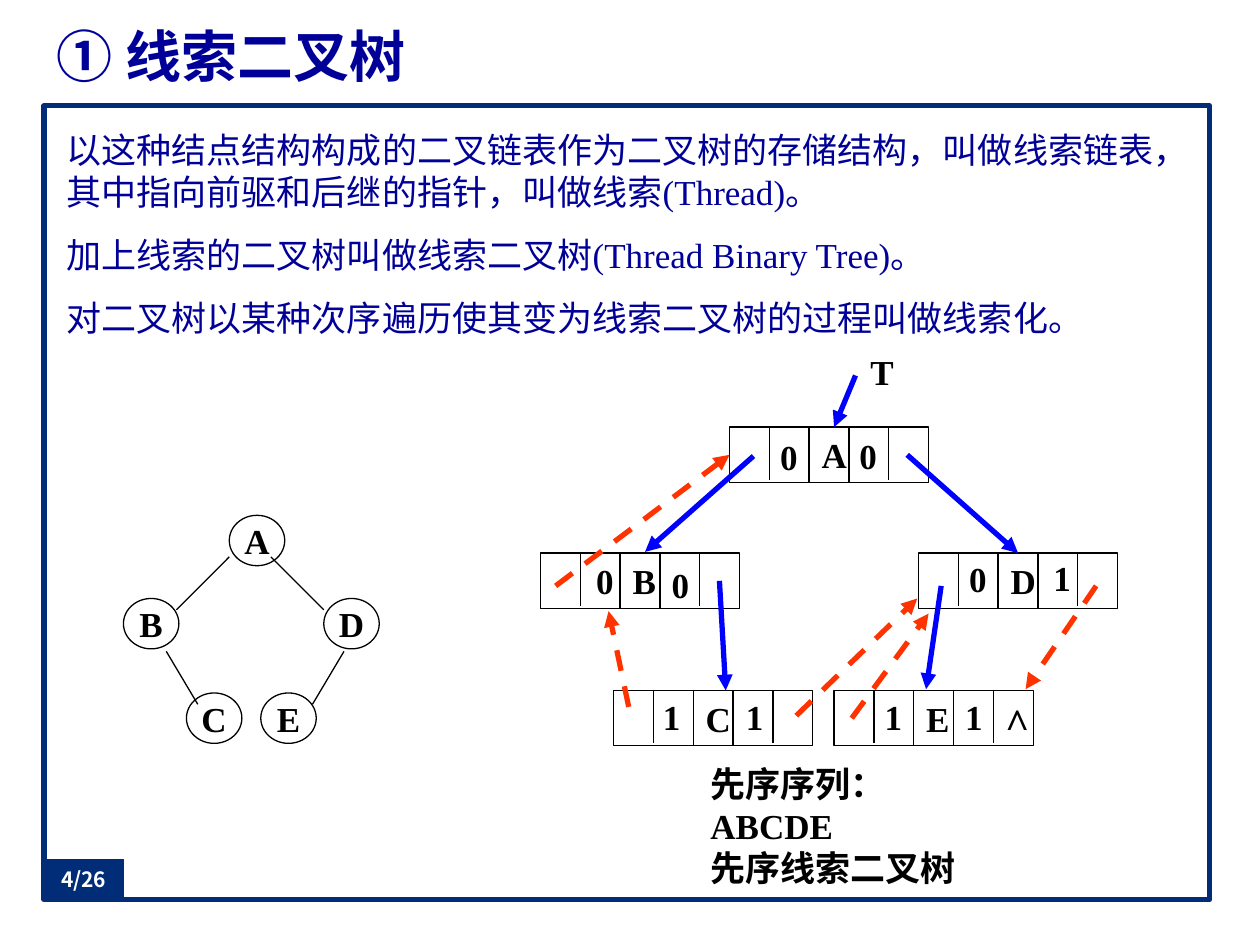
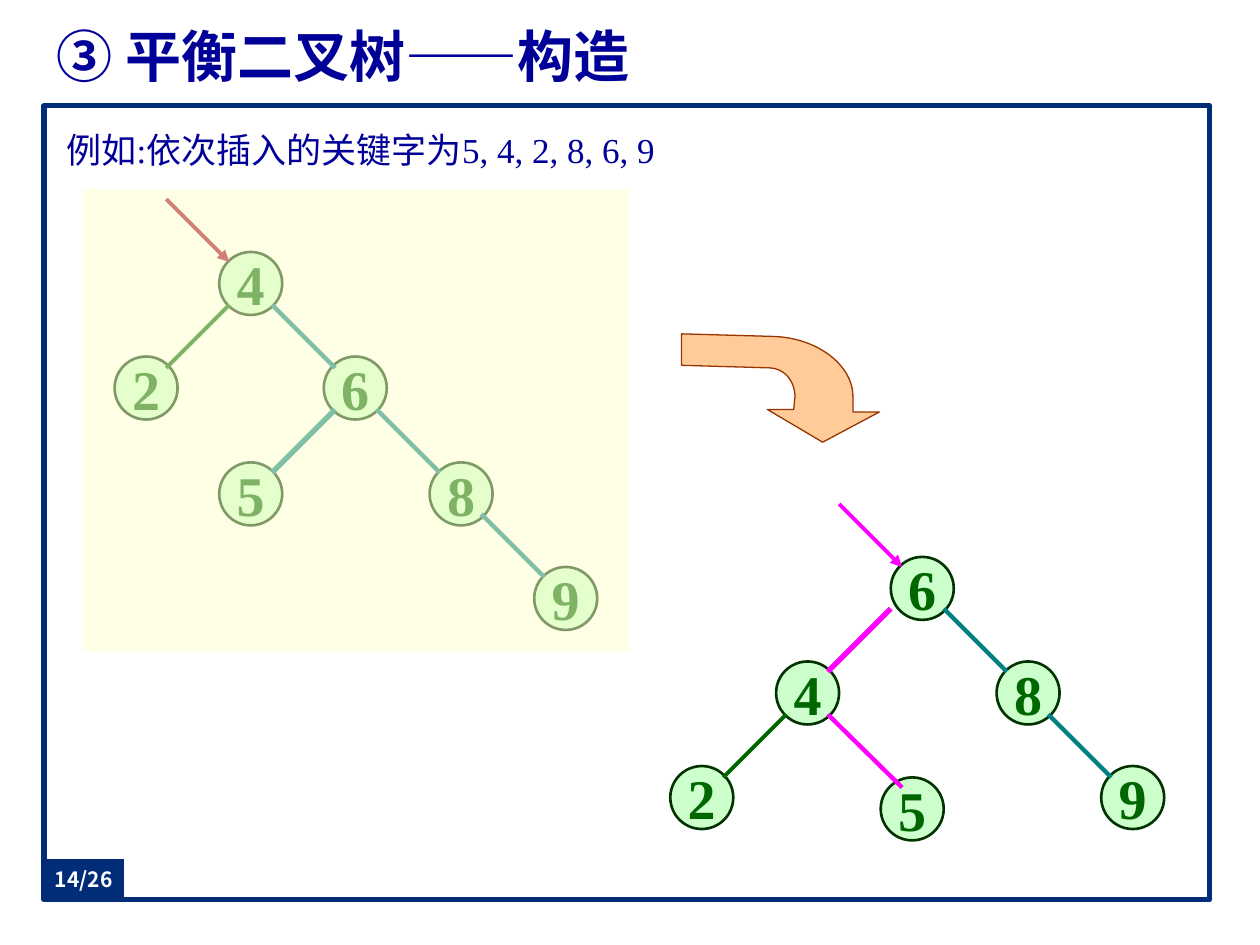
from pptx import Presentation
from pptx.dml.color import RGBColor
from pptx.enum.dml import MSO_LINE
from pptx.enum.shapes import MSO_CONNECTOR, MSO_SHAPE
from pptx.enum.text import MSO_ANCHOR, PP_ALIGN
from pptx.oxml.ns import qn
from pptx.util import Inches, Pt
from lxml.etree import SubElement

COLORS = {
    "white": "FFFFFF", "black": "000000", "frame": "012D78", "badge_line": "032C75",
    "text": "000099", "pointer": "0000FF", "thread": "FF3300",
    "node": "CCFFCC", "node_line": "003300", "green": "006600", "teal": "008080",
    "dark_red": "A50021", "magenta": "FF00FF", "veil": "FFFFCC",
    "arrow": "FFCC99", "arrow_line": "993300",
}
RGB = {name: RGBColor.from_string(value) for name, value in COLORS.items()}
SERIF, SANS = "Times New Roman", "Noto Sans CJK SC"


def write(shape, lines, size, color="black", bold=True, align=PP_ALIGN.CENTER,
          anchor=MSO_ANCHOR.MIDDLE, wrap=False, font=SERIF):
    """Fill a shape with one formatted paragraph per line."""
    frame = shape.text_frame
    frame.text = "\n".join(lines)
    frame.word_wrap = wrap
    frame.vertical_anchor = anchor
    for paragraph in frame.paragraphs:
        paragraph.alignment = align
        for run in paragraph.runs:
            run.font.name = font
            run.font.size = Pt(size)
            run.font.bold = bold
            run.font.color.rgb = RGB[color]
            SubElement(run.font._element, qn("a:ea")).set("typeface", SANS)


def add_line(slide, start, end, color="black", width=0.75, arrow=False, dashed=False):
    """Draw a straight line, with an arrowhead at its end if asked."""
    line = slide.shapes.add_connector(
        MSO_CONNECTOR.STRAIGHT, *[Inches(value) for value in (*start, *end)])
    line.line.color.rgb = RGB[color]
    line.line.width = Pt(width)
    if dashed:
        line.line.dash_style = MSO_LINE.DASH
    if arrow:
        SubElement(line.line._get_or_add_ln(), qn("a:tailEnd")).set("type", "triangle")
    SubElement(line._element.spPr, qn("a:effectLst"))
    return line


presentation = Presentation()
presentation.slide_width, presentation.slide_height = Inches(10), Inches(7.5)

# Frame, title, body text and page badge of each slide
pages = [
    ("① 线索二叉树", "4/26", [
        "以这种结点结构构成的二叉链表作为二叉树的存储结构，叫做线索链表，"
        "其中指向前驱和后继的指针，叫做线索(Thread)。",
        "加上线索的二叉树叫做线索二叉树(Thread Binary Tree)。",
        "对二叉树以某种次序遍历使其变为线索二叉树的过程叫做线索化。"]),
    ("③ 平衡二叉树——构造", "14/26", ["例如:依次插入的关键字为5, 4, 2, 8, 6, 9"]),
]
slides = []
for title_text, page_number, body_lines in pages:
    slide = presentation.slides.add_slide(presentation.slide_layouts[6])
    slides.append(slide)
    frame = slide.shapes.add_shape(
        MSO_SHAPE.RECTANGLE, Inches(0.35), Inches(0.84), Inches(9.25), Inches(6.3))
    frame.shadow.inherit = False
    frame.fill.solid()
    frame.fill.fore_color.rgb = RGB["white"]
    frame.line.color.rgb = RGB["frame"]
    frame.line.width = Pt(3)

    title = slide.shapes.add_textbox(Inches(0.35), Inches(0.13), Inches(9.25), Inches(0.62))
    write(title, [title_text], 32, "text", align=PP_ALIGN.JUSTIFY, wrap=True)

    body = slide.shapes.add_textbox(Inches(0.43), Inches(0.92), Inches(9.06), Inches(6.14))
    write(body, body_lines, 20, "text", bold=False, align=PP_ALIGN.LEFT,
          anchor=MSO_ANCHOR.TOP, wrap=True)
    body.text_frame.margin_top = body.text_frame.margin_bottom = Inches(0.1)
    for index, paragraph in enumerate(body.text_frame.paragraphs):
        paragraph.line_spacing = Pt(24)
        paragraph.space_before = Pt(6 if index else 0)
        paragraph.space_after = Pt(6)

    badge = slide.shapes.add_shape(
        MSO_SHAPE.RECTANGLE, Inches(0.35), Inches(6.82), Inches(0.63), Inches(0.31))
    badge.shadow.inherit = False
    badge.fill.solid()
    badge.fill.fore_color.rgb = RGB["frame"]
    badge.line.color.rgb = RGB["badge_line"]
    badge.line.width = Pt(0.75)
    write(badge, [page_number], 12, "white", wrap=True, font=SANS)
    badge.text_frame.margin_left = badge.text_frame.margin_right = 0
    badge.text_frame.margin_top = badge.text_frame.margin_bottom = 0

thread_slide, balance_slide = slides

# Slide 1: plain binary tree
for letter, left, top in [("A", 1.82, 4.09), ("B", 0.98, 4.75), ("C", 1.48, 5.5),
                          ("D", 2.57, 4.75), ("E", 2.07, 5.5)]:
    node = thread_slide.shapes.add_shape(
        MSO_SHAPE.OVAL, Inches(left), Inches(top), Inches(0.44), Inches(0.4))
    node.shadow.inherit = False
    node.fill.background()
    node.line.color.rgb = RGB["black"]
    node.line.width = Pt(0.75)
    write(node, [letter], 20)
for start, end in [((1.82, 4.42), (1.4, 4.84)), ((2.15, 4.42), (2.57, 4.84)),
                   ((1.32, 5.17), (1.57, 5.59)), ((2.73, 5.17), (2.48, 5.59))]:
    add_line(thread_slide, start, end)

# Slide 1: five-cell records of the linked list
RECORD_WIDTH, RECORD_HEIGHT = 1.58, 0.44
records = {}
for letter, left, top in [("A", 5.79, 3.39), ("B", 4.29, 4.39), ("D", 7.29, 4.39),
                          ("C", 4.87, 5.48), ("E", 6.62, 5.48)]:
    record = thread_slide.shapes.add_shape(
        MSO_SHAPE.RECTANGLE, Inches(left), Inches(top),
        Inches(RECORD_WIDTH), Inches(RECORD_HEIGHT))
    record.shadow.inherit = False
    record.fill.background()
    record.line.color.rgb = RGB["black"]
    record.line.width = Pt(0.75)
    write(record, [letter], 20, align=PP_ALIGN.LEFT, wrap=True)
    record.text_frame.margin_left = Inches(0.73)
    records[letter] = record
    for cell, length in enumerate([0.42, 0.44, 0.44, 0.42], start=1):
        divider = left + cell * RECORD_WIDTH / 5
        add_line(thread_slide, (divider, top), (divider, top + length))

# Slide 1: child pointers and threads
for start, end in [((6.79, 2.98), (6.62, 3.39)), ((5.98, 3.62), (5.12, 4.38)),
                   ((5.71, 4.61), (5.76, 5.48)), ((7.47, 4.65), (7.35, 5.47))]:
    add_line(thread_slide, start, end, "pointer", 3, arrow=True)
pointer_to_d = add_line(thread_slide, (7.2, 3.61), (8.08, 4.39), "pointer", 3, arrow=True)
pointer_to_d.end_connect(records["D"], 0)
for start, end in [((4.99, 5.61), (4.83, 4.85)), ((6.32, 5.68), (7.28, 4.75)),
                   ((8.7, 4.65), (8.14, 5.47)), ((6.76, 5.7), (7.37, 4.87))]:
    add_line(thread_slide, start, end, "thread", 3, arrow=True, dashed=True)
thread_to_a = add_line(thread_slide, (4.41, 4.65), (5.79, 3.61), "thread", 3,
                       arrow=True, dashed=True)
thread_to_a.end_connect(records["A"], 1)

# Slide 1: tag values, root label and caption
for tag, left, top in [("0", 6.09, 3.41), ("0", 6.72, 3.4), ("0", 4.63, 4.39),
                       ("0", 5.23, 4.42), ("0", 7.59, 4.38), ("1", 8.26, 4.37),
                       ("1", 5.16, 5.47), ("1", 5.82, 5.47), ("1", 6.92, 5.47),
                       ("1", 7.56, 5.47), ("^", 7.88, 5.51), ("T", 6.81, 2.73)]:
    label = thread_slide.shapes.add_textbox(
        Inches(left), Inches(top), Inches(0.34), Inches(0.43))
    write(label, [tag], 24 if tag == "^" else 20)
caption = thread_slide.shapes.add_textbox(Inches(5.54), Inches(6), Inches(2.2), Inches(0.77))
write(caption, ["先序序列：ABCDE", "先序线索二叉树"], 20, align=PP_ALIGN.LEFT,
      anchor=MSO_ANCHOR.TOP, wrap=True)
for paragraph in caption.text_frame.paragraphs:
    paragraph.line_spacing = Pt(24)

# Slide 2: tree before and after the rotation
tree_before = (
    [("4", 1.74, 2), ("2", 0.91, 2.83), ("6", 2.57, 2.83),
     ("5", 1.74, 3.67), ("8", 3.41, 3.67), ("9", 4.24, 4.5)],
    [((1.82, 2.42), (1.32, 2.92), "green", 2.25), ((2.16, 2.42), (2.66, 2.92), "teal", 2.5),
     ((2.66, 3.25), (2.16, 3.75), "teal", 3), ((2.99, 3.25), (3.49, 3.75), "teal", 2.5),
     ((3.82, 4.08), (4.32, 4.58), "teal", 2.5)],
    ((1.32, 1.58), (1.82, 2.08), "dark_red", 2.25))
tree_after = (
    [("6", 7.07, 4.42), ("4", 6.16, 5.25), ("2", 5.32, 6.08),
     ("8", 7.91, 5.25), ("9", 8.74, 6.08), ("5", 6.99, 6.17)],
    [((6.24, 5.67), (5.74, 6.17), "green", 2.25), ((7.07, 4.83), (6.57, 5.33), "magenta", 3),
     ((7.49, 4.83), (7.99, 5.33), "teal", 2.5), ((8.32, 5.67), (8.82, 6.17), "teal", 2.5),
     ((6.57, 5.67), (7.16, 6.25), "magenta", 2.5)],
    ((6.66, 4), (7.16, 4.5), "magenta", 2.25))
for nodes, edges, root_arrow in (tree_before, tree_after):
    for key, left, top in nodes:
        node = balance_slide.shapes.add_shape(
            MSO_SHAPE.OVAL, Inches(left), Inches(top), Inches(0.5), Inches(0.5))
        node.shadow.inherit = False
        node.fill.solid()
        node.fill.fore_color.rgb = RGB["node"]
        node.line.color.rgb = RGB["node_line"]
        node.line.width = Pt(1.5)
        write(node, [key], 32, "green")
    for edge in edges:
        add_line(balance_slide, *edge)
    add_line(balance_slide, *root_arrow, arrow=True)

    # Half-transparent veil over the earlier tree
    if nodes is tree_before[0]:
        veil = balance_slide.shapes.add_shape(
            MSO_SHAPE.RECTANGLE, Inches(0.66), Inches(1.5), Inches(4.33), Inches(3.67))
        veil.shadow.inherit = False
        veil.fill.solid()
        veil.fill.fore_color.rgb = RGB["veil"]
        veil.line.fill.background()
        veil_color = veil._element.spPr.find(qn("a:solidFill"))[0]
        SubElement(veil_color, qn("a:alpha")).set("val", "50000")

# Slide 2: bent arrow, with its two bends sampled from Bezier curves
outer_bend = [(6.77, 3.16), (6.78, 2.9), (6.48, 2.67), (6.11, 2.67)]
inner_bend = [(6.1, 2.92), (6.22, 2.92), (6.31, 3.02), (6.31, 3.15)]
bends = []
for controls in (outer_bend, inner_bend):
    bend = []
    for step in range(21):
        t = step / 20
        weights = [(1 - t) ** 3, 3 * t * (1 - t) ** 2, 3 * t ** 2 * (1 - t), t ** 3]
        bend.append([sum(weight * point[axis] for weight, point in zip(weights, controls))
                     for axis in (0, 1)])
    bends.append(bend)
outline = [(6.53, 3.51), (6.98, 3.27), (6.77, 3.27), *bends[0],
           (5.41, 2.65), (5.41, 2.9), *bends[1], (6.3, 3.25), (6.09, 3.25)]
corners = [(Inches(x), Inches(y)) for x, y in outline]
builder = balance_slide.shapes.build_freeform(*corners[0])
builder.add_line_segments(corners[1:], close=True)
bent_arrow = builder.convert_to_shape()
bent_arrow.shadow.inherit = False
bent_arrow.fill.solid()
bent_arrow.fill.fore_color.rgb = RGB["arrow"]
bent_arrow.line.color.rgb = RGB["arrow_line"]
bent_arrow.line.width = Pt(0.75)

presentation.save("out.pptx")
